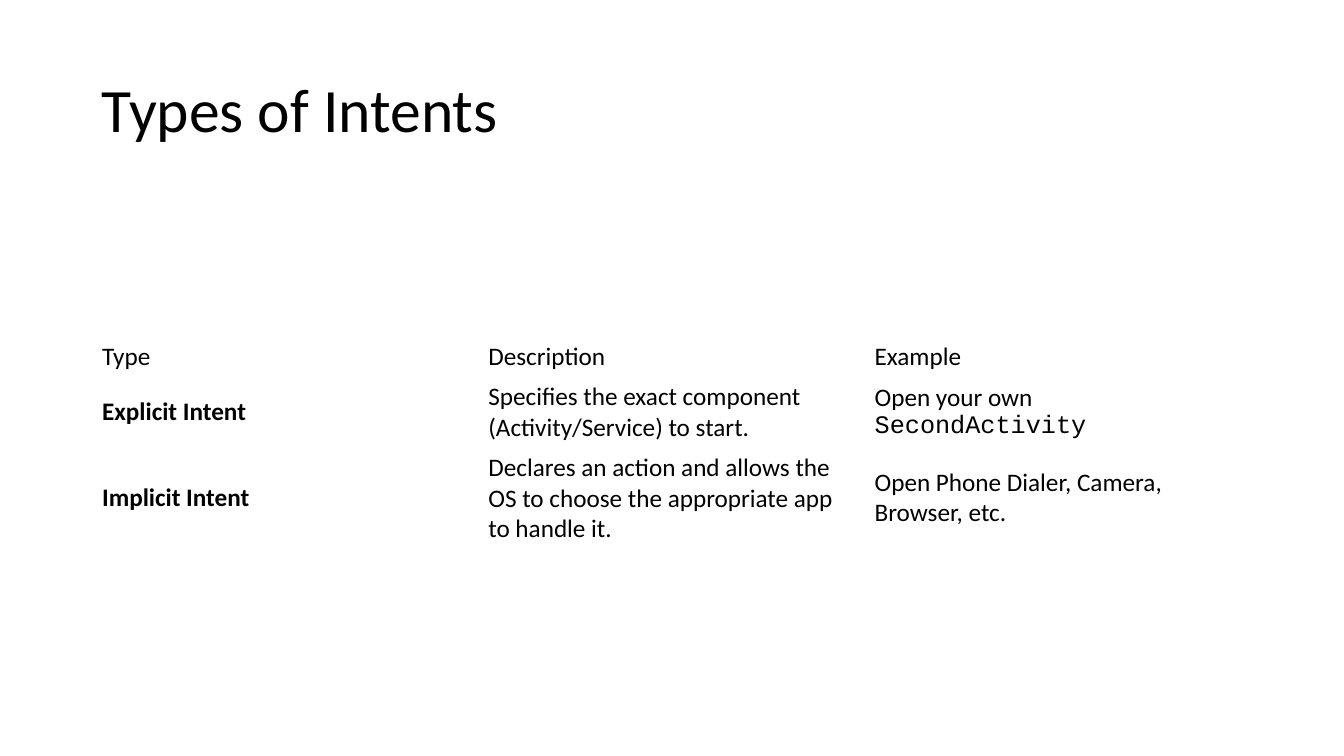
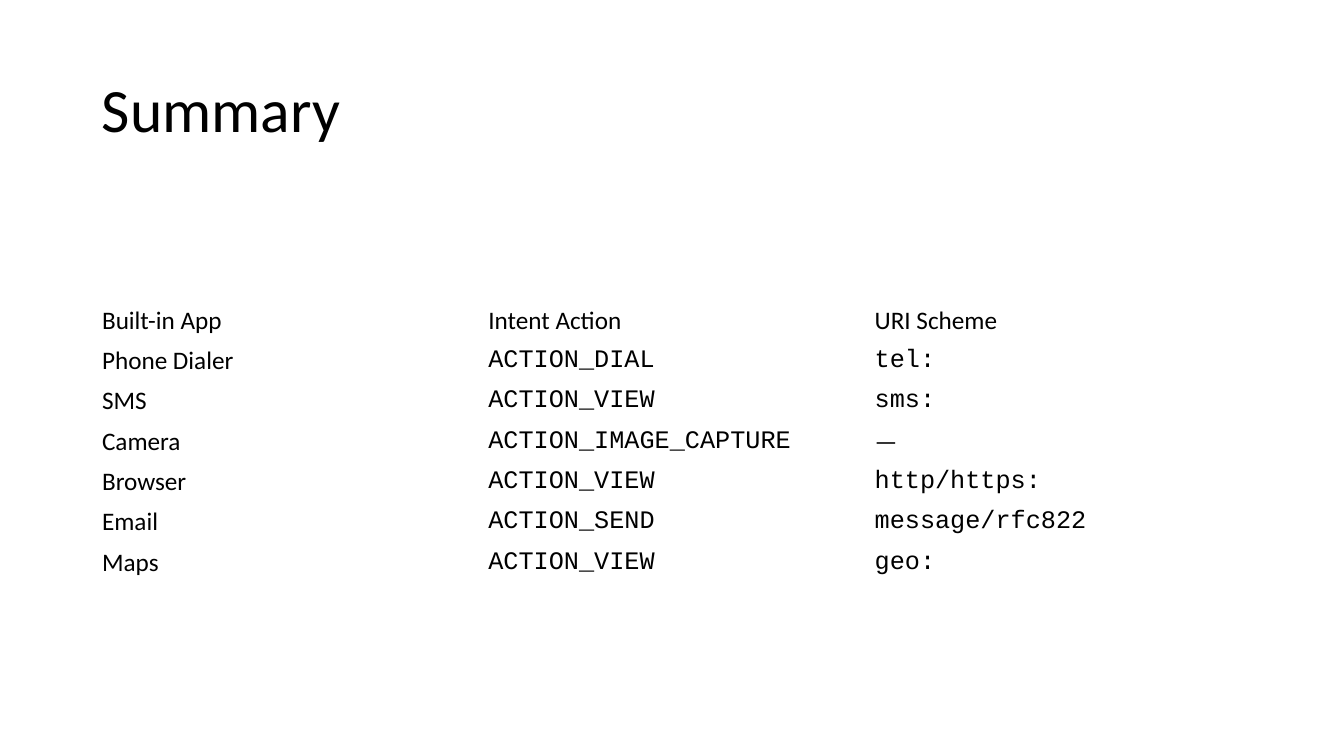
from pptx import Presentation
from pptx.dml.color import RGBColor
from pptx.enum.text import MSO_ANCHOR
from pptx.util import Emu, Pt

BLACK = RGBColor(0x00, 0x00, 0x00)
BODY_FONT = "Calibri"
CODE_FONT = "Courier New"
LEFT, WIDTH = 92, 1159


def px(n):
    return Emu(round(n * 914400 / 100.8))


def write(tf, text, size=18, bold=False, line_spacing=None):
    """Fill the first paragraph; text between backticks is set as code."""
    p = tf.paragraphs[0]
    p.line_spacing = line_spacing
    for i, part in enumerate(text.split("`")):
        if part:
            r = p.add_run()
            r.text = part
            r.font.name = CODE_FONT if i % 2 else BODY_FONT
            r.font.size = Pt(size)
            r.font.bold = bold
            r.font.color.rgb = BLACK


# Slide content: title, table top, row heights, bold row labels, table rows
slides = [
    ("Types of Intents", 336, [40, 71, 101], True, [
        ("Type", "Description", "Example"),
        ("Explicit Intent",
         "Specifies the exact component (Activity/Service) to start.",
         "Open your own `SecondActivity`"),
        ("Implicit Intent",
         "Declares an action and allows the OS to choose the appropriate app to handle it.",
         "Open Phone Dialer, Camera, Browser, etc."),
    ]),
    ("Summary", 300, [40] * 7, False, [
        ("Built-in App", "Intent Action", "URI Scheme"),
        ("Phone Dialer", "`ACTION_DIAL`", "`tel:`"),
        ("SMS", "`ACTION_VIEW`", "`sms:`"),
        ("Camera", "`ACTION_IMAGE_CAPTURE`", "—"),
        ("Browser", "`ACTION_VIEW`", "`http/https:`"),
        ("Email", "`ACTION_SEND`", "`message/rfc822`"),
        ("Maps", "`ACTION_VIEW`", "`geo:`"),
    ]),
]

prs = Presentation()
prs.slide_width, prs.slide_height = px(1344), px(756)

for title, top, heights, bold_labels, rows in slides:
    s = prs.slides.add_slide(prs.slide_layouts[6])

    # Title
    tf = s.shapes.add_textbox(px(LEFT), px(40), px(WIDTH), px(146)).text_frame
    tf.word_wrap = True
    tf.vertical_anchor = MSO_ANCHOR.MIDDLE
    write(tf, title, size=44, line_spacing=0.9)

    # Plain table
    table = s.shapes.add_table(len(rows), 3, px(LEFT), px(top),
                               px(WIDTH), px(sum(heights))).table
    table.first_row = False
    table.horz_banding = False
    for i, row in enumerate(rows):
        table.rows[i].height = px(heights[i])
        for j, text in enumerate(row):
            cell = table.cell(i, j)
            cell.fill.background()
            cell.vertical_anchor = MSO_ANCHOR.MIDDLE
            write(cell.text_frame, text, bold=bold_labels and i > 0 and j == 0)

prs.save("out.pptx")
